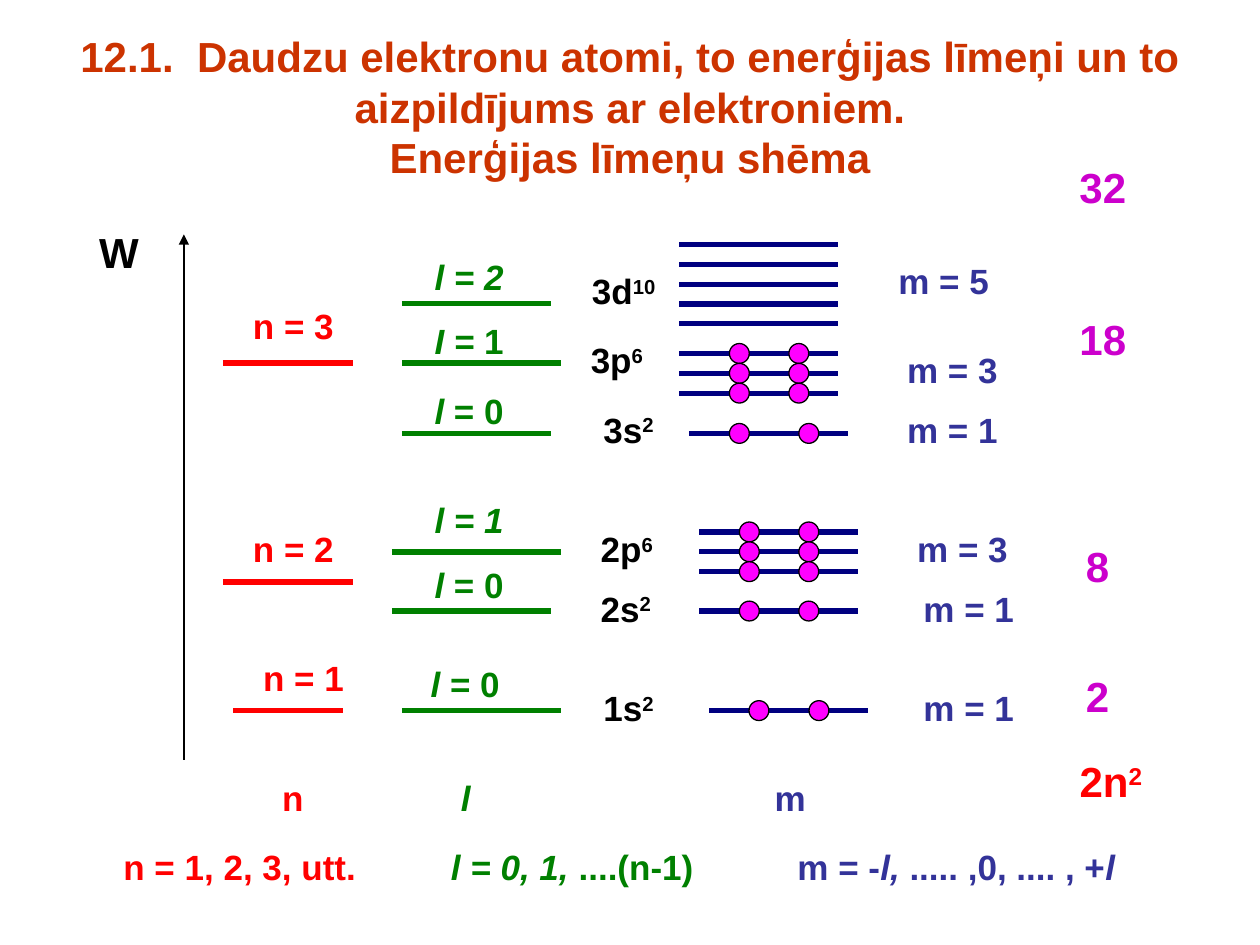
from dataclasses import dataclass

from lxml.etree import SubElement
from pptx import Presentation
from pptx.dml.color import RGBColor
from pptx.enum.shapes import MSO_CONNECTOR as Connector, MSO_SHAPE as Preset
from pptx.enum.text import MSO_ANCHOR as Anchor, MSO_AUTO_SIZE as AutoSize, PP_ALIGN as Align
from pptx.oxml.ns import qn
from pptx.slide import Slide
from pptx.util import Pt

RED, GREEN, BLUE, NAVY = "FF0000", "008000", "333399", "000080"
BLACK, MAGENTA, PURPLE, RUST = "000000", "FF00FF", "CC00CC", "CC3300"
SPACING = 11.34
ORBITAL_WIDTH = 90.7
LABEL_SLACK = 3

N_LEVELS = [(133.2, 62.6, 406.1), (127.4, 74.2, 332.6), (127.4, 74.2, 207.4)]
L_LEVELS = [
    (229.7, 90.7, 406.1), (223.9, 90.7, 349.2), (223.9, 96.5, 315.4),
    (229.7, 90.7, 207.4), (229.7, 85, 173.5), (229.7, 85, 247.7),
]
ORBITALS = [
    (388.1, 139.7, 5, ()),
    (388.1, 202, 3, (34.4, 68.4)),
    (393.8, 247.7, 1, (28.7, 68.4)),
    (399.6, 304, 3, (28.6, 62.6)),
    (399.6, 349.2, 1, (28.6, 62.6)),
    (405.4, 406.1, 1, (28.3, 62.6)),
]
LABELS = [
    (RED, 20, [
        ("n = 1", 143.3, 371.5, 60.5), ("n = 2", 137.5, 298.1, 60.5),
        ("n = 3", 137.5, 170.6, 60.5), ("n", 154.1, 439.9, 26.6),
        ("n = 1, 2, 3, utt.", 63.4, 479.5, 147.6),
    ]),
    (GREEN, 20, [
        ("_l_ = 0", 239, 375.1, 54), ("_l_ = 0", 241.2, 318.2, 54),
        ("_l_ = 0", 241.2, 218.9, 54), ("_I =_ 1", 241.2, 179.3, 54),
        ("_l = 1_", 241.2, 281.5, 54), ("_l = 2_", 241.2, 142.6, 54),
        ("_l_", 256.3, 439.9, 19.4), ("_l = 0, 1, _....(n-1)", 250.6, 479.5, 152.6),
    ]),
    (BLACK, 20, [
        ("1s^2", 337.7, 388.8, 43.2), ("2s^2", 336.2, 331.9, 43.2),
        ("2p^6", 336.2, 298.1, 43.9), ("3s^2", 337.7, 229.7, 43.2),
        ("3p^6", 330.5, 190.1, 43.9), ("3d^10", 331.2, 150.5, 50.4),
    ]),
    (BLUE, 20, [
        ("m = 5", 506.2, 144.7, 66.2), ("m = 3", 511.2, 195.8, 66.2),
        ("m = 1", 511.2, 229.7, 66.2), ("m = 3", 517, 298.1, 66.2),
        ("m = 1", 520.6, 331.9, 66.2), ("m = 1", 520.6, 388.8, 66.2),
        ("m", 435.6, 439.9, 32.4),
        ("m = -_l, _..... ,0, .... , +_l_", 448.6, 479.5, 195.8),
    ]),
    (RED, 24, [("2n^2", 609.8, 428.4, 49.7)]),
    (PURPLE, 24, [
        ("2", 613.4, 379.4, 27.4), ("8", 613.4, 305.3, 27.4),
        ("18", 609.8, 175.7, 41), ("32", 609.8, 88.6, 41),
    ]),
]


def rgb(value):
    return RGBColor.from_string(value)


def add_run(paragraph, text, *, font, size, color, italic=False, raised=False):
    if not text:
        return
    run = paragraph.add_run()
    run.text = text
    run.font.name = font
    run.font.size = Pt(size)
    run.font.bold = True
    run.font.italic = italic
    run.font.color.rgb = rgb(color)
    if raised:
        run.font._element.set("baseline", "30000")


@dataclass
class Diagram:
    slide: Slide
    font: str = "Arial"

    def place(self, shape, left, top, width, height):
        shape.left, shape.top = Pt(left), Pt(top)
        shape.width, shape.height = Pt(width), Pt(height)

    def title(self, lines):
        shape = self.slide.shapes.title
        self.place(shape, 36, 21.6, 648, 78.5)
        frame = shape.text_frame
        frame.auto_size = AutoSize.NONE
        frame.vertical_anchor = Anchor.MIDDLE
        paragraph = frame.paragraphs[0]
        paragraph.alignment = Align.CENTER
        for index, line in enumerate(lines):
            if index:
                paragraph.add_line_break()
            add_run(paragraph, line, font=self.font, size=24, color=RUST)

    def axis_name(self, text):
        shape = self.slide.placeholders[1]
        self.place(shape, 36, 126, 648, 356.4)
        shape.text_frame.auto_size = AutoSize.NONE
        paragraph = shape.text_frame.paragraphs[0]
        paragraph.space_before = Pt(0)
        properties = paragraph._p.get_or_add_pPr()
        properties.set("marL", str(Pt(13.4)))
        properties.set("indent", "0")
        SubElement(properties, qn("a:buNone"))
        add_run(paragraph, text, font=self.font, size=24, color=BLACK)

    def label(self, text, left, top, width, color, size):
        shape = self.slide.shapes.add_textbox(
            Pt(left), Pt(top), Pt(width + LABEL_SLACK), Pt(size * 1.2 + 7.2))
        frame = shape.text_frame
        frame.word_wrap = True
        frame.auto_size = AutoSize.SHAPE_TO_FIT_TEXT
        paragraph = frame.paragraphs[0]
        style = dict(font=self.font, size=size, color=color)
        for index, part in enumerate(text.split("_")):
            base, _, exponent = part.partition("^")
            add_run(paragraph, base, italic=index % 2 == 1, **style)
            add_run(paragraph, exponent, raised=True, **style)

    def line(self, start, end, color, weight=3, arrow=False):
        connector = self.slide.shapes.add_connector(
            Connector.STRAIGHT, *map(Pt, start), *map(Pt, end))
        connector.line.color.rgb = rgb(color)
        connector.line.width = Pt(weight)
        if arrow:
            SubElement(connector.line._get_or_add_ln(), qn("a:tailEnd"), type="triangle")
        SubElement(connector._element.spPr, qn("a:effectLst"))

    def level(self, left, width, y, color):
        self.line((left, y), (left + width, y), color)

    def electron(self, x, y):
        shape = self.slide.shapes.add_shape(
            Preset.OVAL, Pt(x - SPACING / 2), Pt(y - SPACING / 2), Pt(SPACING), Pt(SPACING))
        shape.shadow.inherit = False
        shape.fill.solid()
        shape.fill.fore_color.rgb = rgb(MAGENTA)
        shape.line.color.rgb = rgb(BLACK)
        shape.line.width = Pt(0.75)

    def orbital(self, left, top, count, offsets):
        for row in range(count):
            y = top + row * SPACING
            self.level(left, ORBITAL_WIDTH, y, NAVY)
            for offset in offsets:
                self.electron(left + offset, y)


def main():
    presentation = Presentation()
    presentation.slide_width, presentation.slide_height = Pt(720), Pt(540)
    diagram = Diagram(presentation.slides.add_slide(presentation.slide_layouts[1]))
    diagram.title([
        "12.1.  Daudzu elektronu atomi, to enerģijas līmeņi un to aizpildījums ar elektroniem.",
        "Enerģijas līmeņu shēma",
    ])
    diagram.axis_name("W")
    diagram.line((105.1, 434.2), (105.1, 133.9), BLACK, weight=0.75, arrow=True)
    for color, levels in ((RED, N_LEVELS), (GREEN, L_LEVELS)):
        for left, width, y in levels:
            diagram.level(left, width, y, color)
    for orbital in ORBITALS:
        diagram.orbital(*orbital)
    for color, size, labels in LABELS:
        for label in labels:
            diagram.label(*label, color, size)
    presentation.save("out.pptx")


if __name__ == "__main__":
    main()
